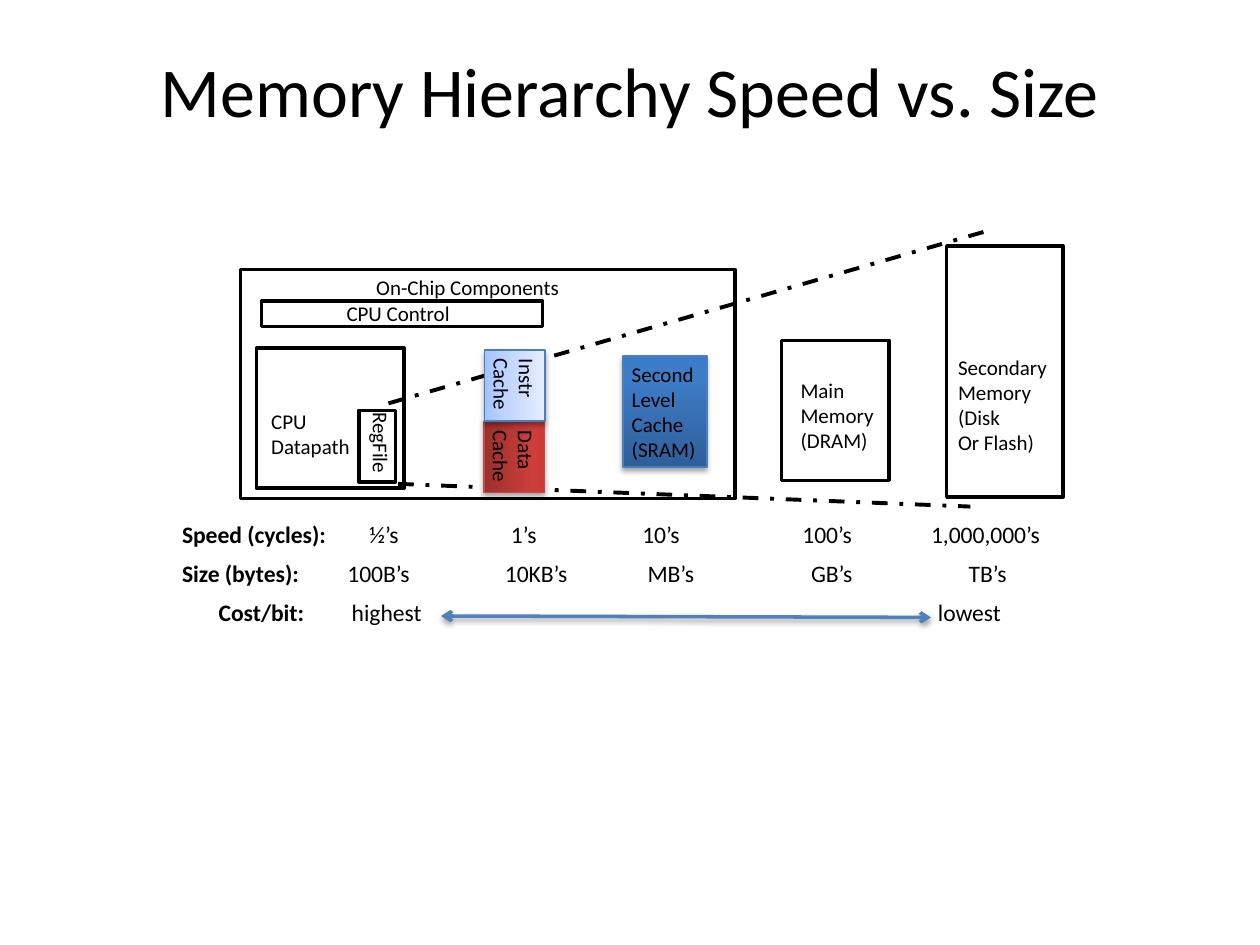
from lxml.etree import SubElement
from pptx import Presentation
from pptx.dml.color import RGBColor
from pptx.enum.dml import MSO_LINE as Dash
from pptx.enum.shapes import MSO_CONNECTOR as Conn, MSO_SHAPE as Kind
from pptx.enum.text import MSO_ANCHOR as Anchor, PP_ALIGN as Align
from pptx.oxml.ns import qn
from pptx.util import Pt

TITLE = "Memory Hierarchy Speed vs. Size"
# left, top, width, height
FRAMES = {
    "control": (149.5, 172, 160.5, 14.5),
    "datapath": (146.5, 199, 84.5, 80),
    "secondary": (541, 140.5, 66.5, 143.5),
    "chip": (137.5, 154, 282.5, 131),
    "registers": (205, 234.5, 21, 41),
    "main": (446.5, 194.5, 61.5, 80),
}
LABELS = [
    ("CPU Control", (193, 168.5, 70.5, 20), 0),
    ("CPU\nDatapath", (150, 230.5, 56, 34.5), 0),
    ("Secondary\nMemory\n(Disk\nOr Flash)", (542.5, 199.5, 62.5, 63.5), 0),
    ("On-Chip Components", (210, 154, 116, 20), 0),
    ("RegFile", (188, 250.5, 60, 20), 90),
    ("Main\nMemory\n(DRAM)", (452.5, 212.5, 53, 49), 0),
]
# text, box, turn, gradient from bottom to top, edge
CACHES = [
    ("Second\nLevel\nCache\n(SRAM)", (356, 203.5, 48, 63.5), 0,
     [(0, "2F5F99"), (80, "3D7CC7"), (100, "3A7CCB")], "4B7EBC"),
    ("Data\nCache", (273.5, 244, 40.5, 34.5), 90,
     [(0, "9C2F2D"), (80, "CB3E3A"), (100, "CE3B37")], "BF4C48"),
    ("Instr\nCache", (274, 203, 40.5, 34.5), 90,
     [(0, "A4C4FF"), (35, "BFD4FF"), (100, "E6EEFF")], "4B7EBC"),
]
RAYS = [(222, 230.5, 564, 132), (227.5, 276.5, 554.5, 289.5)]
# label, its x, then each value with its x
ROWS = [
    ("Speed (cycles):", 104, [("½’s", 211), ("1’s", 292), ("10’s", 367),
                              ("100’s", 458.5), ("1,000,000’s", 532)]),
    ("Size (bytes):", 104, [("100B’s", 198.5), ("10KB’s", 288.5), ("MB’s", 370),
                            ("GB’s", 463.5), ("TB’s", 553.5)]),
    ("Cost/bit:", 125, [("highest", 201), ("lowest", 536)]),
]
ROW_TOP, ROW_STEP, ROW_PAD = 298, 22.4, 3.6

deck = Presentation()
deck.slide_width, deck.slide_height = Pt(720), Pt(540)
shapes = deck.slides.add_slide(deck.slide_layouts[6]).shapes


def tint(code):
    return RGBColor.from_string(code)


def pts(box):
    return [Pt(v) for v in box]


def write(shape, text, size=12, align=Align.LEFT, anchor=Anchor.TOP,
          pad=(5, 3), wrap=False, bold=False):
    frame = shape.text_frame
    frame.word_wrap, frame.vertical_anchor = wrap, anchor
    frame.margin_left = frame.margin_right = Pt(pad[0])
    frame.margin_top = frame.margin_bottom = Pt(pad[1])
    for i, line in enumerate(text.split("\n")):
        para = frame.paragraphs[0] if i == 0 else frame.add_paragraph()
        para.alignment = align
        add_run(para, line, size, bold)
    return frame.paragraphs[0]


def add_run(para, text, size, bold=False):
    run = para.add_run()
    run.text = text
    run.font.name, run.font.size, run.font.bold = "Calibri", Pt(size), bold
    run.font.color.rgb = tint("000000")


def add_rect(box, edge="000000", width=2):
    rect = shapes.add_shape(Kind.RECTANGLE, *pts(box))
    rect.shadow.inherit = False
    rect.fill.background()
    rect.line.color.rgb, rect.line.width = tint(edge), Pt(width)
    return rect


def add_line(ends, color, width):
    line = shapes.add_connector(Conn.STRAIGHT, *pts(ends))
    line.line.color.rgb, line.line.width = tint(color), Pt(width)
    SubElement(line._element.spPr, qn("a:effectLst"))
    return line


def add_color(parent, code):
    return SubElement(parent, qn("a:srgbClr"), val=code)


def cast(shape, alpha, dist):
    """Drop a soft shadow straight down."""
    fx = shape._element.spPr.find(qn("a:effectLst"))
    drop = SubElement(fx, qn("a:outerShdw"), blurRad=str(Pt(3.1)),
                      dist=str(Pt(dist)), dir="5400000", rotWithShape="0")
    SubElement(add_color(drop, "000000"), qn("a:alpha"), val=str(alpha * 1000))


def blend(shape, stops):
    shape.fill.gradient()
    shape.fill.gradient_angle = 90
    group = next(shape._element.spPr.iter(qn("a:gsLst")))
    for old in list(group):
        group.remove(old)
    for pos, code in stops:
        add_color(SubElement(group, qn("a:gs"), pos=str(pos * 1000)), code)


def add_cache(text, box, turn, stops, edge):
    cache = add_rect(box, edge, 0.75)
    cache.rotation = turn
    blend(cache, stops)
    cast(cache, 35, 1.8)
    write(cache, text)


def add_row(top, label, left, values):
    box = shapes.add_textbox(*pts((left - ROW_PAD, top, 604 - left, 17.5)))
    para = write(box, label, size=13.5, pad=(ROW_PAD, 1.4), wrap=True, bold=True)
    para.line_spacing = 0.85
    tabs = SubElement(para._p.get_or_add_pPr(), qn("a:tabLst"))
    for _, x in values:
        SubElement(tabs, qn("a:tab"), pos=str(Pt(x - left)), algn="l")
    add_run(para, "".join("\t" + word for word, _ in values), 13.5)


write(shapes.add_textbox(*pts((12, 6, 696, 90))), TITLE, size=40,
      align=Align.CENTER, anchor=Anchor.MIDDLE, wrap=True)
for box in FRAMES.values():
    add_rect(box)
for text, box, turn in LABELS:
    label = shapes.add_textbox(*pts(box))
    label.rotation = turn
    write(label, text)
for ends in RAYS:
    add_line(ends, "000000", 2.25).line.dash_style = Dash.DASH_DOT
for cache in CACHES:
    add_cache(*cache)
for i, row in enumerate(ROWS):
    add_row(ROW_TOP + i * ROW_STEP, *row)

arrow = add_line((252, 352, 532, 352.8), "4F81BD", 2)
cast(arrow, 38, 1.6)
for end in ("a:headEnd", "a:tailEnd"):
    SubElement(arrow.line._get_or_add_ln(), qn(end), type="arrow")

deck.save("out.pptx")
